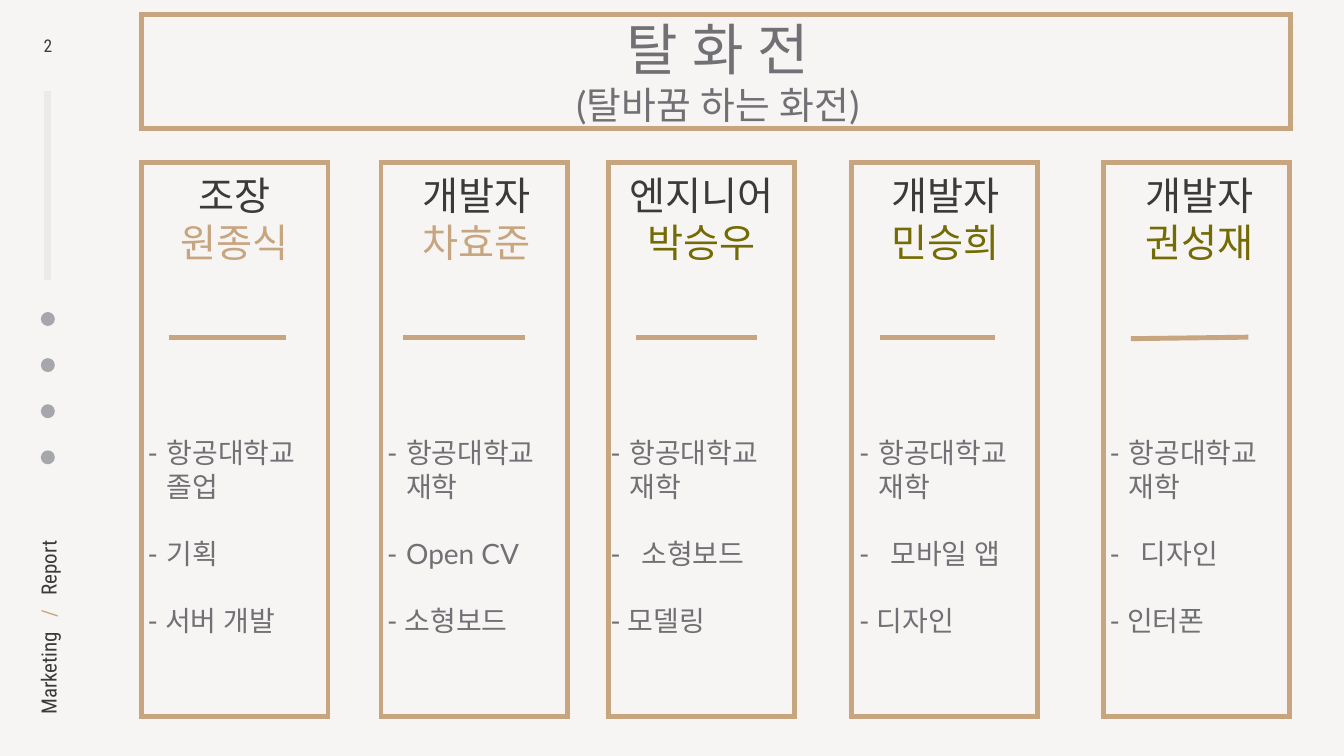
from lxml.etree import SubElement
from pptx import Presentation
from pptx.dml.color import RGBColor
from pptx.enum.shapes import MSO_CONNECTOR as Connector, MSO_SHAPE as Preset
from pptx.enum.text import MSO_ANCHOR as Anchor, PP_ALIGN as Align
from pptx.oxml.ns import qn
from pptx.util import Inches, Pt

WIDTH, HEIGHT = Inches(26.67), Inches(15)
TAN, OLIVE, INK, GREY = "C7A57F", "756B04", "3A3B39", "717175"
PAPER, TRACK, ICON = "F6F5F3", "EBEAE7", "A6A7AC"
LATO, NOTO, ROBOTO = "Lato", "Noto Sans CJK KR", "Roboto Condensed"
CARD_TOP, CARD_WIDTH, CARD_HEIGHT = 21.47, 13.87, 73.27
TEXT_WIDTH = 13.27
NARROW, WIDE = 1.42, 2.32

MEMBERS = [
    dict(left=10.54, role="조장", name="원종식", tint=TAN, head=0.3, body=0.3,
         rule=(2.02, 44.6, 10.76),
         items=[("항공대학교 졸업", NARROW), ("기획", NARROW), ("- 서버 개발", 0)]),
    dict(left=28.35, role="개발자", name="차효준", tint=TAN, head=0.45, body=0.3,
         rule=(1.65, 44.6, 10.72),
         items=[("항공대학교 재학", NARROW), ("Open CV", NARROW), ("- 소형보드", 0)]),
    dict(left=45.26, role="엔지니어", name="박승우", tint=OLIVE, head=0.3, body=0,
         rule=(2.06, 44.6, 11.06),
         items=[("항공대학교 재학", NARROW), ("소형보드", WIDE), ("- 모델링", 0)]),
    dict(left=63.33, role="개발자", name="민승희", tint=OLIVE, head=0.41, body=0.45,
         rule=(2.14, 44.6, 10.72),
         items=[("항공대학교 재학", NARROW), ("모바일 앱", WIDE), ("- 디자인", 0)]),
    dict(left=82.11, role="개발자", name="권성재", tint=OLIVE, head=0.52, body=0.3,
         rule=(2.03, 44.8, 10.77),
         items=[("항공대학교 재학", NARROW), ("디자인", WIDE), ("- 인터폰", 0)]),
]


def across(share):
    return round(WIDTH * share / 100)


def down(share):
    return round(HEIGHT * share / 100)


def place(left, top, width, height):
    return across(left), down(top), across(width), down(height)


def colour(value):
    return RGBColor.from_string(value)


def add_frame(slide, *area):
    frame = slide.shapes.add_shape(Preset.RECTANGLE, *place(*area))
    frame.shadow.inherit = False
    frame.fill.background()
    frame.line.color.rgb = colour(TAN)
    frame.line.width = Pt(7)
    SubElement(frame._element.spPr.find(qn("a:ln")), qn("a:miter")).set("lim", "800000")


def add_rule(slide, start, end, tint, weight):
    rule = slide.shapes.add_connector(
        Connector.STRAIGHT, across(start[0]), down(start[1]), across(end[0]), down(end[1]))
    rule.line.color.rgb = colour(tint)
    rule.line.width = Pt(weight)
    SubElement(rule._element.spPr, qn("a:effectLst"))


def add_text(slide, area, lines, align=Align.LEFT, anchor=Anchor.TOP):
    box = slide.shapes.add_textbox(*place(*area))
    frame = box.text_frame
    frame.word_wrap = True
    frame.vertical_anchor = anchor
    frame.margin_left = frame.margin_right = Inches(0.04)
    frame.margin_top = frame.margin_bottom = Inches(0.04)
    frame.text = "\n".join(lines)
    for paragraph in frame.paragraphs:
        paragraph.alignment = align
    return box


def style_run(run, size, tint, latin, asian=LATO, tracking=0):
    run.font.size = Pt(size)
    run.font.color.rgb = colour(tint)
    run.font.name = latin
    SubElement(run._r.get_or_add_rPr(), qn("a:ea")).set("typeface", asian)
    if tracking:
        run._r.get_or_add_rPr().set("spc", str(tracking))


def style_lines(box, styles):
    for paragraph, style in zip(box.text_frame.paragraphs, styles):
        style_run(paragraph.runs[0], *style)


def add_dash(paragraph, indent):
    properties = paragraph._p.get_or_add_pPr()
    properties.set("marL", str(across(indent)))
    properties.set("indent", str(-across(indent)))
    SubElement(properties, qn("a:buFont")).set("typeface", LATO)
    SubElement(properties, qn("a:buChar")).set("char", "-")


def add_member(slide, member):
    left = member["left"]
    add_frame(slide, left, CARD_TOP, CARD_WIDTH, CARD_HEIGHT)

    heading = add_text(slide, (left + member["head"], 22.4, TEXT_WIDTH, 16.13),
                       [member["role"], member["name"]], Align.CENTER)
    style_lines(heading, [(56, INK, NOTO), (56, member["tint"], NOTO)])

    start, start_height, end = member["rule"]
    add_rule(slide, (left + start, start_height), (left + end, 44.6), TAN, 7)

    items = member["items"]
    duties = add_text(slide, (left + member["body"], 57.27, TEXT_WIDTH, 27.47),
                      [wording for wording, indent in items], anchor=Anchor.MIDDLE)
    style_lines(duties, [(40, GREY, LATO)] * len(items))
    for position, (wording, indent) in enumerate(items):
        paragraph = duties.text_frame.paragraphs[position]
        if position:
            paragraph.space_before = Pt(48)
        if indent:
            add_dash(paragraph, indent)


def add_sidebar(slide):
    page = add_text(slide, (1.76, 4.4, 3.6, 3.6), ["2"], Align.CENTER)
    style_run(page.text_frame.paragraphs[0].runs[0], 25, INK, ROBOTO, tracking=500)
    add_rule(slide, (3.56, 37.07), (3.56, 12.07), TRACK, 10)

    for row in range(4):
        icon = slide.shapes.add_shape(Preset.OVAL, *place(3.04, 41.27 + 6.1 * row, 1.04, 1.85))
        icon.shadow.inherit = False
        icon.fill.solid()
        icon.fill.fore_color.rgb = colour(ICON)
        icon.line.fill.background()

    caption = add_text(slide, (-3.71, 79.73, 14.59, 4.2), [""], anchor=Anchor.MIDDLE)
    caption.rotation = 270
    for wording in ("Marketing", " ", "/", " ", "Report"):
        run = caption.text_frame.paragraphs[0].add_run()
        run.text = wording
        style_run(run, 30, TAN if wording == "/" else INK, ROBOTO,
                  tracking=1340 if wording == " " else 0)


def add_banner(slide):
    add_frame(slide, 10.54, 1.93, 85.45, 15.07)
    title = add_text(slide, (10.84, 1.6, 85.15, 15.6), ["탈 화 전", "(탈바꿈 하는 화전)"],
                     Align.CENTER, Anchor.MIDDLE)
    style_lines(title, [(80, GREY, LATO), (54, GREY, LATO)])


def main():
    deck = Presentation()
    deck.slide_width, deck.slide_height = WIDTH, HEIGHT
    slide = deck.slides.add_slide(deck.slide_layouts[6])
    slide.background.fill.solid()
    slide.background.fill.fore_color.rgb = colour(PAPER)
    add_sidebar(slide)
    for member in MEMBERS:
        add_member(slide, member)
    add_banner(slide)
    deck.save("out.pptx")


if __name__ == "__main__":
    main()
